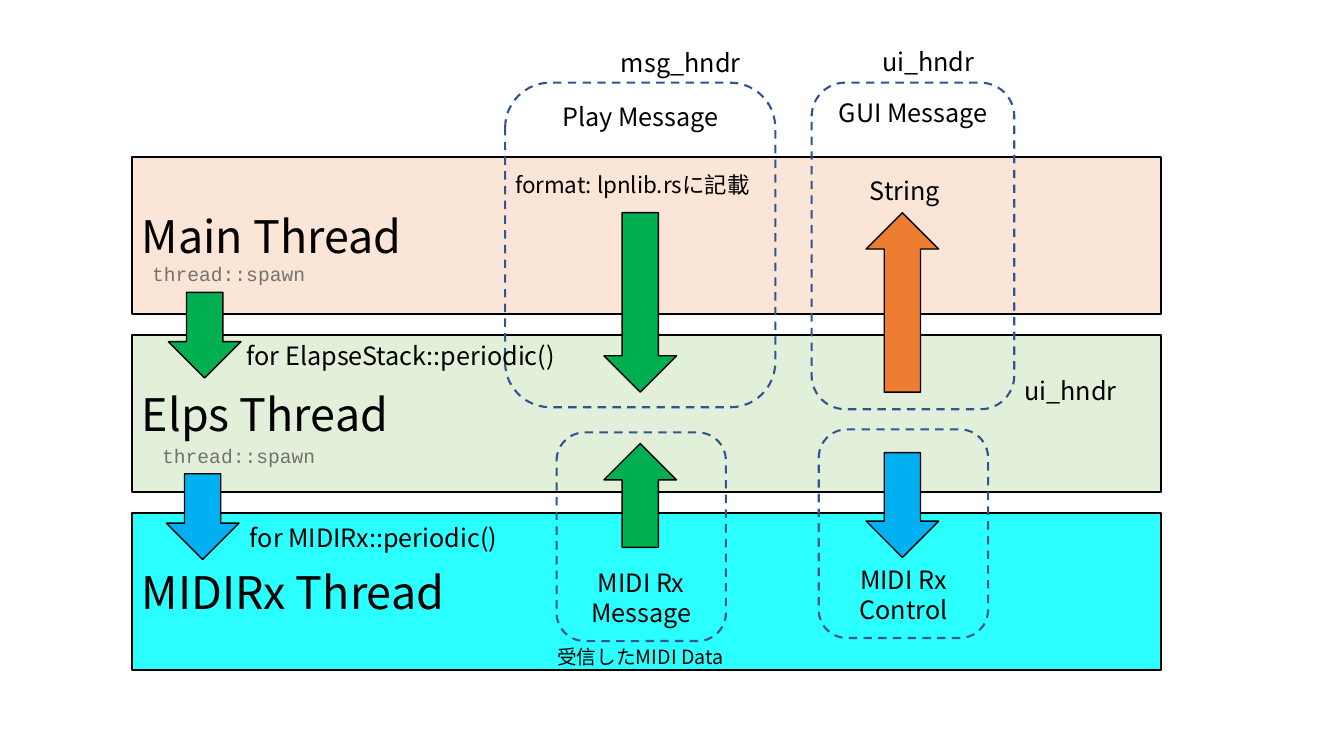
from pptx import Presentation
from pptx.dml.color import RGBColor
from pptx.enum.dml import MSO_LINE
from pptx.enum.shapes import MSO_SHAPE
from pptx.enum.text import MSO_ANCHOR, PP_ALIGN
from pptx.util import Inches, Pt

RECT, ROUND = MSO_SHAPE.RECTANGLE, MSO_SHAPE.ROUNDED_RECTANGLE
DOWN = MSO_SHAPE.DOWN_ARROW
DASH = MSO_LINE.DASH
TOP, MID, LOW = MSO_ANCHOR.TOP, MSO_ANCHOR.MIDDLE, MSO_ANCHOR.BOTTOM
LEFT, CENTER = PP_ALIGN.LEFT, PP_ALIGN.CENTER

SANS, MONO = "Noto Sans CJK JP", "Courier New"
BLACK, GRAY, NAVY = "000000", "767171", "325491"
GREEN, BLUE, ORANGE = "00B050", "00B0F0", "ED7D31"


def color(code):
    return RGBColor.from_string(code)


class Board:
    """Draws on one slide; lengths are columns and rows of a 0.1 inch grid."""

    cell = Inches(0.1)

    def __init__(self, deck):
        self.slide = deck.slides.add_slide(deck.slide_layouts[6])

    def place(self, *box):
        return [round(self.cell * n) for n in box]

    def letter(self, shape, text, size, font=SANS, ink=BLACK, align=LEFT, anchor=TOP):
        frame = shape.text_frame
        frame.word_wrap = True
        frame.vertical_anchor = anchor
        para = frame.paragraphs[0]
        para.text = text
        para.alignment = align
        para.font.size = Pt(size)
        para.font.name = font
        para.font.color.rgb = color(ink)

    def shape(self, kind, box, fill=None, edge=BLACK, width=1.5):
        shape = self.slide.shapes.add_shape(kind, *self.place(*box))
        shape.shadow.inherit = False
        if fill:
            shape.fill.solid()
            shape.fill.fore_color.rgb = color(fill)
        else:
            shape.fill.background()
        shape.line.color.rgb = color(edge)
        shape.line.width = Pt(width)
        return shape

    def band(self, row, name, fill):
        shape = self.shape(RECT, (13.1, row, 102.1, 15.6), fill)
        self.letter(shape, name, 32, anchor=MID)

    def group(self, box, name, anchor):
        shape = self.shape(ROUND, box, edge=NAVY)
        shape.line.dash_style = DASH
        self.letter(shape, name, 18, align=CENTER, anchor=anchor)

    def arrow(self, col, row, rows, fill, turn=0):
        shape = self.shape(DOWN, (col, row, 7.2, rows), fill, width=1)
        shape.rotation = turn

    def label(self, col, row, cols, text, size=18, font=SANS, ink=BLACK):
        box = self.slide.shapes.add_textbox(*self.place(col, row, cols, size * 0.22))
        self.letter(box, text, size, font, ink)


def main():
    deck = Presentation()
    deck.slide_width, deck.slide_height = Inches(13.33), Inches(7.5)
    board = Board(deck)

    # Thread bands, evenly spaced
    bands = [("Main Thread", "FBE5D6"), ("Elps Thread", "E2F0D9"),
             ("MIDIRx Thread", "2AFEFF")]
    for i, (name, fill) in enumerate(bands):
        board.band(15.6 + 17.65 * i, name, fill)

    # Dashed message groups
    board.group((50.1, 8.2, 26.8, 32.2), "Play Message", TOP)
    board.group((80.5, 8.2, 20.1, 32.4), "GUI Message", TOP)
    board.group((55.2, 42.9, 16.8, 20.7), "MIDI Rx Message", LOW)
    board.group((81.2, 42.6, 16.8, 20.7), "MIDI Rx Control", LOW)

    # Message arrows
    board.arrow(59.9, 21.1, 17.8, GREEN)
    board.arrow(85.9, 21.1, 17.8, ORANGE, 180)
    board.arrow(59.9, 44, 10.3, GREEN, 180)
    board.arrow(85.9, 44.9, 10.4, BLUE)

    # Spawn arrows
    board.arrow(16.7, 29, 8.5, GREEN)
    board.arrow(16.5, 47, 8.5, BLUE)
    for col, row in [(14.1, 25.5), (15.1, 43.6)]:
        board.label(col, row, 22.9, "thread::spawn", 14, MONO, GRAY)
    board.label(23.5, 33.3, 33.3, "for ElapseStack::periodic()")
    board.label(23.8, 51.3, 33.3, "for MIDIRx::periodic()")

    # Handler names
    board.label(60.6, 4.2, 15.2, "msg_hndr")
    for col, row in [(86.5, 4.1), (100.6, 36.7)]:
        board.label(col, row, 11.6, "ui_hndr")

    # Data formats
    board.label(85.3, 16.9, 9.9, "String")
    board.label(50.1, 16.5, 26.8, "format: lpnlib.rsに記載", 16)
    board.label(54.3, 63.5, 24.7, "受信したMIDI Data", 14)

    deck.save("out.pptx")


if __name__ == "__main__":
    main()
